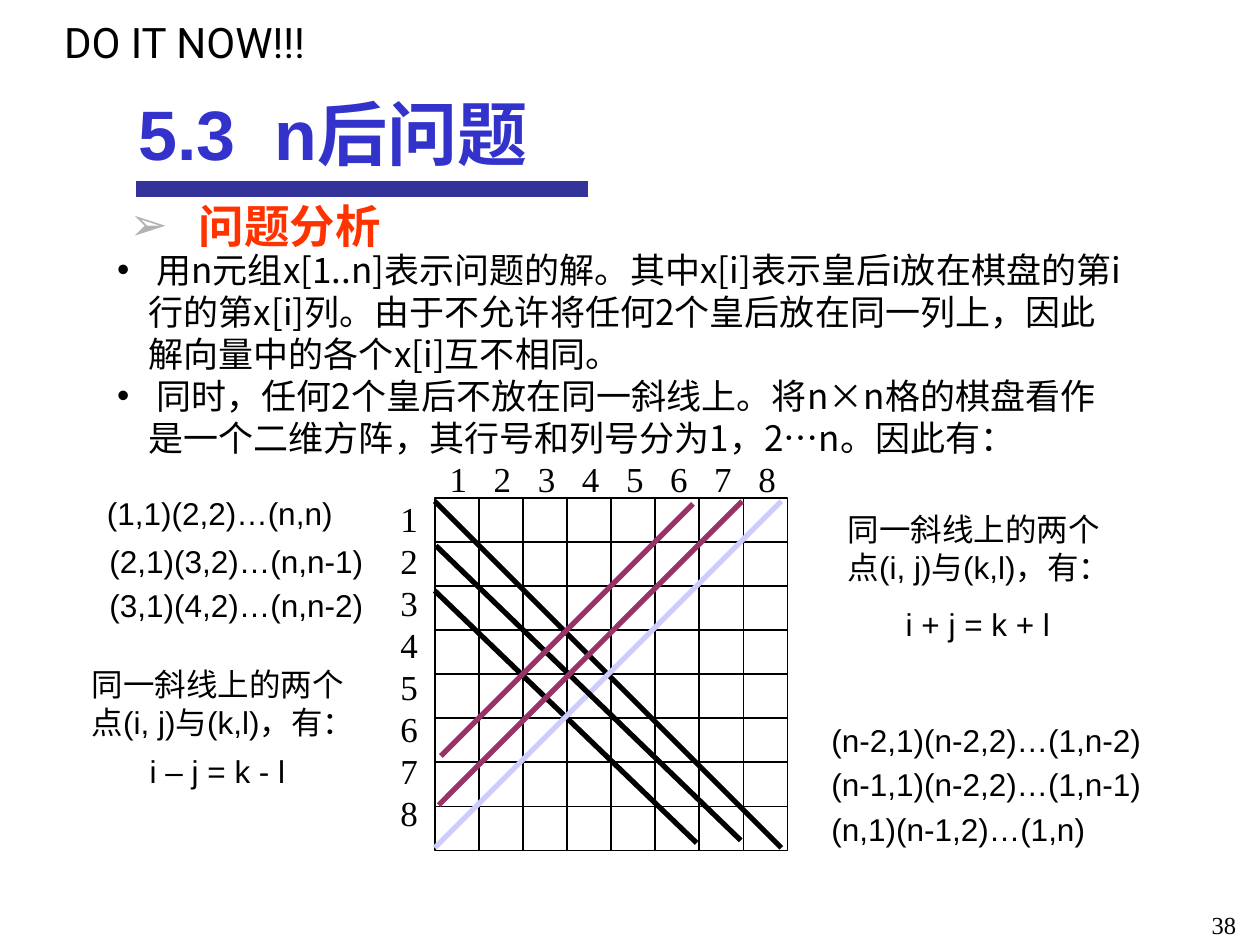
from pptx import Presentation
from pptx.dml.color import RGBColor
from pptx.enum.shapes import MSO_CONNECTOR, MSO_SHAPE
from pptx.enum.text import MSO_ANCHOR, MSO_AUTO_SIZE, PP_ALIGN
from pptx.oxml.ns import qn
from pptx.util import Inches, Pt
from lxml import etree

STRAIGHT = MSO_CONNECTOR.STRAIGHT
RECTANGLE = MSO_SHAPE.RECTANGLE
TOP = MSO_ANCHOR.TOP
NO_FIT = MSO_AUTO_SIZE.NONE
LEFT, RIGHT = PP_ALIGN.LEFT, PP_ALIGN.RIGHT

BLACK = RGBColor(0x00, 0x00, 0x00)
NAVY = RGBColor(0x33, 0x33, 0x99)
BLUE = RGBColor(0x33, 0x33, 0xCC)
ORANGE = RGBColor(0xFF, 0x33, 0x00)
PLUM = RGBColor(0x99, 0x33, 0x66)
LILAC = RGBColor(0xCC, 0xCC, 0xFF)
GRAY = RGBColor(0xB2, 0xB2, 0xB2)

ARIAL, SERIF, CJK, ROBOTO = "Arial", "Times New Roman", "Noto Sans CJK SC", "Roboto"
WIDTH, HEIGHT = 10, 7.5
BOARD_LEFT, BOARD_TOP, CELL, COUNT = 3.45, 3.95, 0.35, 8
NUMBERS = [str(number) for number in range(1, COUNT + 1)]

SAME_DIAGONAL = ["同一斜线上的两个", "点(i, j)与(k,l)，有："]
NOTES = [
    (0.75, 3.87, ["(1,1)(2,2)…(n,n)"]),
    (0.77, 4.25, ["(2,1)(3,2)…(n,n-1)"]),
    (0.77, 4.60, ["(3,1)(4,2)…(n,n-2)"]),
    (0.63, 5.23, SAME_DIAGONAL),
    (1.09, 5.92, ["i – j = k - l"]),
    (6.63, 4.00, SAME_DIAGONAL),
    (7.09, 4.75, ["i + j = k + l"]),
    (6.50, 5.67, ["(n-2,1)(n-2,2)…(1,n-2)"]),
    (6.50, 6.02, ["(n-1,1)(n-2,2)…(1,n-1)"]),
    (6.50, 6.38, ["(n,1)(n-1,2)…(1,n)"]),
]
DIAGONALS = [
    (0, 0.08, 7.86, 7.94, BLACK),
    (0, 2.11, 5.94, 7.83, BLACK),
    (0, 7.94, 7.86, 0.08, LILAC),
    (0.03, 1.09, 6.94, 7.77, BLACK),
    (0.09, 6.97, 6.97, 0.08, PLUM),
    (0.14, 5.86, 5.86, 0.14, PLUM),
]
ANALYSIS = [
    " 用n元组x[1..n]表示问题的解。其中x[i]表示皇后i放在棋盘的第i行的第x[i]列。"
    "由于不允许将任何2个皇后放在同一列上，因此解向量中的各个x[i]互不相同。",
    " 同时，任何2个皇后不放在同一斜线上。将n×n格的棋盘看作是一个二维方阵，"
    "其行号和列号分为1，2…n。因此有：",
]


def place(shape, left, top, width, height):
    """Move and size a shape in inches."""
    shape.left, shape.top = Inches(left), Inches(top)
    shape.width, shape.height = Inches(width), Inches(height)


def set_bullet(para, mark, color, indent):
    """Give a paragraph a coloured bullet and a hanging indent."""
    props = para._p.get_or_add_pPr()
    props.set("marL", str(Inches(indent)))
    props.set("indent", str(-Inches(indent)))
    tint = etree.SubElement(props, qn("a:buClr"))
    etree.SubElement(tint, qn("a:srgbClr"), val=str(color))
    etree.SubElement(props, qn("a:buFont"), typeface=ARIAL)
    etree.SubElement(props, qn("a:buChar"), char=mark)


def set_tabs(para, stops):
    """Set left tab stops in inches."""
    tabs = etree.SubElement(para._p.get_or_add_pPr(), qn("a:tabLst"))
    for stop in stops:
        etree.SubElement(tabs, qn("a:tab"), pos=str(Inches(stop)), algn="l")


def write(box, lines, size, font, color=BLACK, bold=False, align=LEFT,
          wrap=True, bullet=None, tabs=()):
    """Fill a text shape with evenly styled paragraphs."""
    frame = box.text_frame
    frame.word_wrap, frame.auto_size = wrap, NO_FIT
    frame.vertical_anchor = TOP
    frame.text = "\n".join(lines)
    for para in frame.paragraphs:
        if bullet:
            set_bullet(para, *bullet)
        if tabs:
            set_tabs(para, tabs)
        para.alignment = align
        para.space_before = Pt(0)
        para.line_spacing = Pt(size * 1.2)
        para.font.size, para.font.name = Pt(size), font
        para.font.bold, para.font.color.rgb = bold, color


def add_text(page, left, top, width, height, lines, size, font, **style):
    """Add a text box and write in it."""
    box = page.shapes.add_textbox(*map(Inches, (left, top, width, height)))
    write(box, lines, size, font, **style)


def add_line(page, start, end, color, weight):
    """Draw a straight line between two points in inches."""
    line = page.shapes.add_connector(STRAIGHT, *map(Inches, (*start, *end)))
    line.line.color.rgb, line.line.width = color, Pt(weight)
    etree.SubElement(line._element.spPr, qn("a:effectLst"))


def board_point(column, row):
    """Turn a board position in cells into inches."""
    return BOARD_LEFT + column * CELL, BOARD_TOP + row * CELL


def add_board(page):
    """Draw the numbered chessboard and its diagonals."""
    side = COUNT * CELL
    board = page.shapes.add_shape(
        RECTANGLE, *map(Inches, (BOARD_LEFT, BOARD_TOP, side, side)))
    board.shadow.inherit = False
    board.fill.background()
    board.line.color.rgb, board.line.width = BLACK, Pt(1)
    for step in range(1, COUNT):
        add_line(page, board_point(0, step), board_point(COUNT, step), BLACK, 1)
        add_line(page, board_point(step, 0), board_point(step, COUNT), BLACK, 1)
    add_text(page, 3.47, 3.58, 2.85, 0.43, ["\t".join(NUMBERS)], 20, SERIF,
             wrap=False, tabs=[CELL * step for step in range(1, COUNT)])
    add_text(page, 3.08, 3.9, 0.33, 2.77, NUMBERS, 20, SERIF, wrap=False)
    for column, row, end_column, end_row, color in DIAGONALS:
        add_line(page, board_point(column, row),
                 board_point(end_column, end_row), color, 3)


def main():
    """Build and save the slide."""
    deck = Presentation()
    deck.slide_width, deck.slide_height = Inches(WIDTH), Inches(HEIGHT)
    page = deck.slides.add_slide(deck.slide_layouts[1])
    title, body = page.placeholders
    add_line(page, (1.08, 1.5), (4.67, 1.5), NAVY, 9.5)
    add_text(page, 0.41, 0.08, 2.61, 0.5, ["DO IT NOW!!!"], 24, ROBOTO, wrap=False)
    add_text(page, 7.83, 7.17, 2.08, 0.25, ["38"], 14, SERIF, align=RIGHT)
    place(title, 1, 0.67, 6.73, 0.9)
    write(title, ["5.3\tn后问题"], 40, ARIAL, color=BLUE, bold=True, tabs=[1.08])
    add_text(page, 0.93, 1.52, 5.25, 0.54, ["问题分析"], 26, ARIAL,
             color=ORANGE, bold=True, bullet=("➢", GRAY, 0.55))
    place(body, 0.83, 1.92, 8.17, 1.77)
    write(body, ANALYSIS, 20, CJK, bullet=("•", BLACK, 0.25))
    add_board(page)
    for left, top, lines in NOTES:
        add_text(page, left, top, 2.6, 0.1 + 0.3 * len(lines), lines, 18, ARIAL,
                 wrap=False)
    deck.save("out.pptx")


if __name__ == "__main__":
    main()
